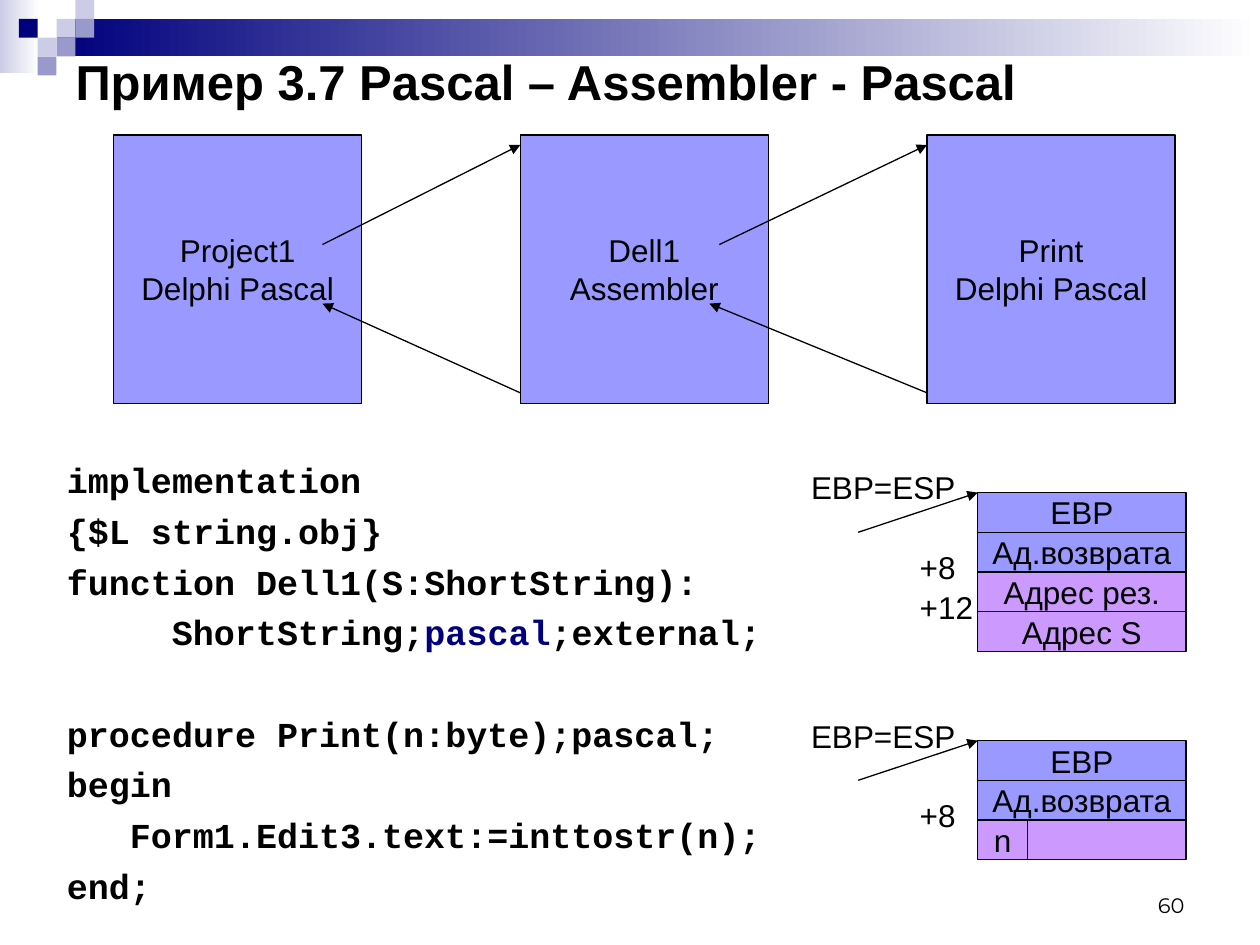
import pptx
import pptx.dml.color
import pptx.enum.shapes
import pptx.enum.text
import pptx.oxml
import pptx.oxml.ns
import pptx.util
from lxml import etree

Cm, Pt = pptx.util.Cm, pptx.util.Pt
RGBColor = pptx.dml.color.RGBColor
PP_ALIGN = pptx.enum.text.PP_ALIGN
MSO_ANCHOR = pptx.enum.text.MSO_ANCHOR
RECT = pptx.enum.shapes.MSO_SHAPE.RECTANGLE
STRAIGHT = pptx.enum.shapes.MSO_CONNECTOR.STRAIGHT
qn = pptx.oxml.ns.qn

BLACK = RGBColor(0x00, 0x00, 0x00)
WHITE = RGBColor(0xFF, 0xFF, 0xFF)
NAVY = RGBColor(0x00, 0x00, 0x7D)
PALE = RGBColor(0xCC, 0xCC, 0xE6)
MID = RGBColor(0x99, 0x99, 0xCC)
BLUE = RGBColor(0x99, 0x99, 0xFF)
VIOLET = RGBColor(0xCC, 0x99, 0xFF)

BODY = {"name": "Arial", "size": Pt(18)}
CODE = {"name": "Courier New", "size": Pt(20), "bold": True}


def write(s, lines, font, align=PP_ALIGN.LEFT, anchor=MSO_ANCHOR.TOP, wrap=False):
    """Fill a shape with paragraphs, each a list of (text, colour) runs."""
    tf = s.text_frame
    tf.word_wrap = wrap
    tf.vertical_anchor = anchor
    for i, runs in enumerate(lines):
        p = tf.paragraphs[0] if i == 0 else tf.add_paragraph()
        p.alignment = align
        for text, color in runs:
            r = p.add_run()
            r.text = text
            r.font.color.rgb = color
            for key, value in font.items():
                setattr(r.font, key, value)
    return tf


def add_box(x, y, w, h, color, lines=()):
    s = slide.shapes.add_shape(RECT, Cm(x), Cm(y), Cm(w), Cm(h))
    s.shadow.inherit = False
    s.fill.solid()
    s.fill.fore_color.rgb = color
    s.line.color.rgb = BLACK
    s.line.width = Pt(0.75)
    write(s, [[(text, BLACK)] for text in lines], BODY,
          PP_ALIGN.CENTER, MSO_ANCHOR.MIDDLE)
    return s


prs = pptx.Presentation()
prs.slide_width, prs.slide_height = Cm(25.4), Cm(19.05)
slide = prs.slides.add_slide(prs.slide_layouts[5])

# Header band and its corner of small squares
for x, y, w, h, color in [(0, 0, 0.79, 1.47, PALE), (1.14, 0.38, 24.26, 0.76, NAVY)]:
    s = add_box(x, y, w, h, color)
    s.line.fill.background()
    s.fill.gradient()
    s.fill.gradient_angle = 0
    for stop, stop_color in zip(s.fill.gradient_stops, (color, WHITE)):
        stop.color.rgb = stop_color

SQUARE = 0.38
for col, row, color in [(3, 1, PALE), (4, 0, PALE), (4, 1, MID), (2, 2, PALE),
                        (1, 1, NAVY), (3, 2, MID), (2, 3, MID)]:
    s = add_box(col * SQUARE, row * SQUARE, SQUARE, SQUARE, color)
    s.line.fill.background()

# Title
title = slide.shapes.title
title.left, title.top, title.width, title.height = Cm(1.27), Cm(0.73), Cm(22.86), Cm(1.8)
write(title, [[("Пример 3.7 Pascal – Assembler - Pascal", BLACK)]],
      {"name": "Arial", "size": Pt(28), "bold": True},
      anchor=MSO_ANCHOR.MIDDLE, wrap=True)

# Source code: (runs, indent in characters, lines skipped before)
code = [
    ([("implementation", BLACK)], 0, 0),
    ([("{$L string.obj}", BLACK)], 0, 0),
    ([("function Dell1(S:ShortString):", BLACK)], 0, 0),
    ([("ShortString;", BLACK), ("pascal", NAVY), (";external;", BLACK)], 5, 0),
    ([("procedure Print(n:byte);pascal;", BLACK)], 0, 1),
    ([("begin", BLACK)], 0, 0),
    ([("Form1.Edit3.text:=inttostr(n);", BLACK)], 3, 0),
    ([("end;", BLACK)], 0, 0),
]
s = slide.shapes.add_textbox(Cm(1.1), Cm(9.12), Cm(15), Cm(9.32))
tf = write(s, [runs for runs, indent, skipped in code], CODE, wrap=True)
for p, (runs, indent, skipped) in zip(tf.paragraphs, code):
    p.space_before = Pt(5 + 28.9 * skipped)
    p._p.get_or_add_pPr().set("marL", str(Pt(12 * indent)))

# Modules and the calls between them
modules = [("Project1", "Delphi Pascal"), ("Dell1", "Assembler"), ("Print", "Delphi Pascal")]
for i, lines in enumerate(modules):
    add_box(2.29 + 8.2 * i, 2.72, 5, 5.41, BLUE, lines)

arrows = [
    (6.5, 4.93, 10.49, 2.92), (10.49, 7.92, 6.5, 6.12),
    (14.5, 4.93, 18.69, 2.92), (18.69, 7.92, 14.3, 6.12),
]

# Stack frames
STACK_X, STACK_W, ROW = 19.71, 4.2, 0.8
labels = []
frames = [
    (9.93, [("Адрес рез.", STACK_W), ("Адрес S", STACK_W)], ["+8", "+12"]),
    (14.93, [("n", 1)], ["+8"]),
]
for top, arguments, offsets in frames:
    rows = [("EBP", STACK_W, BLUE), ("Aд.возврата", STACK_W, BLUE)]
    rows += [(text, w, VIOLET) for text, w in arguments]
    for i, (text, w, color) in enumerate(rows):
        y = top + i * ROW
        add_box(STACK_X, y, w, ROW, color, [text])
        if w < STACK_W:
            add_box(STACK_X + w, y, STACK_W - w, ROW, color)
    arrows.append((17.3, top + ROW, STACK_X, top))
    labels.append(("EBP=ESP", 16.1, top - 0.61, 3.8))
    for i, text in enumerate(offsets):
        labels.append((text, 18.29, top + 1 + i * ROW, 1.98))

for x1, y1, x2, y2 in arrows:
    c = slide.shapes.add_connector(STRAIGHT, Cm(x1), Cm(y1), Cm(x2), Cm(y2))
    c.line.color.rgb = BLACK
    c.line.width = Pt(0.75)
    spPr = c._element.spPr
    etree.SubElement(spPr.find(qn("a:ln")), qn("a:tailEnd"), type="triangle")
    etree.SubElement(spPr, qn("a:effectLst"))

for text, x, y, w in labels:
    s = slide.shapes.add_textbox(Cm(x), Cm(y), Cm(w), Cm(1.02))
    write(s, [[(text, BLACK)]], BODY)

# Slide number
s = slide.shapes.add_textbox(Cm(18.21), Cm(17.35), Cm(5.92), Cm(1.27))
write(s, [[("60", BLACK)]], {"name": "Montserrat", "size": Pt(12)},
      PP_ALIGN.RIGHT, MSO_ANCHOR.BOTTOM, wrap=True)

prs.save("out.pptx")
